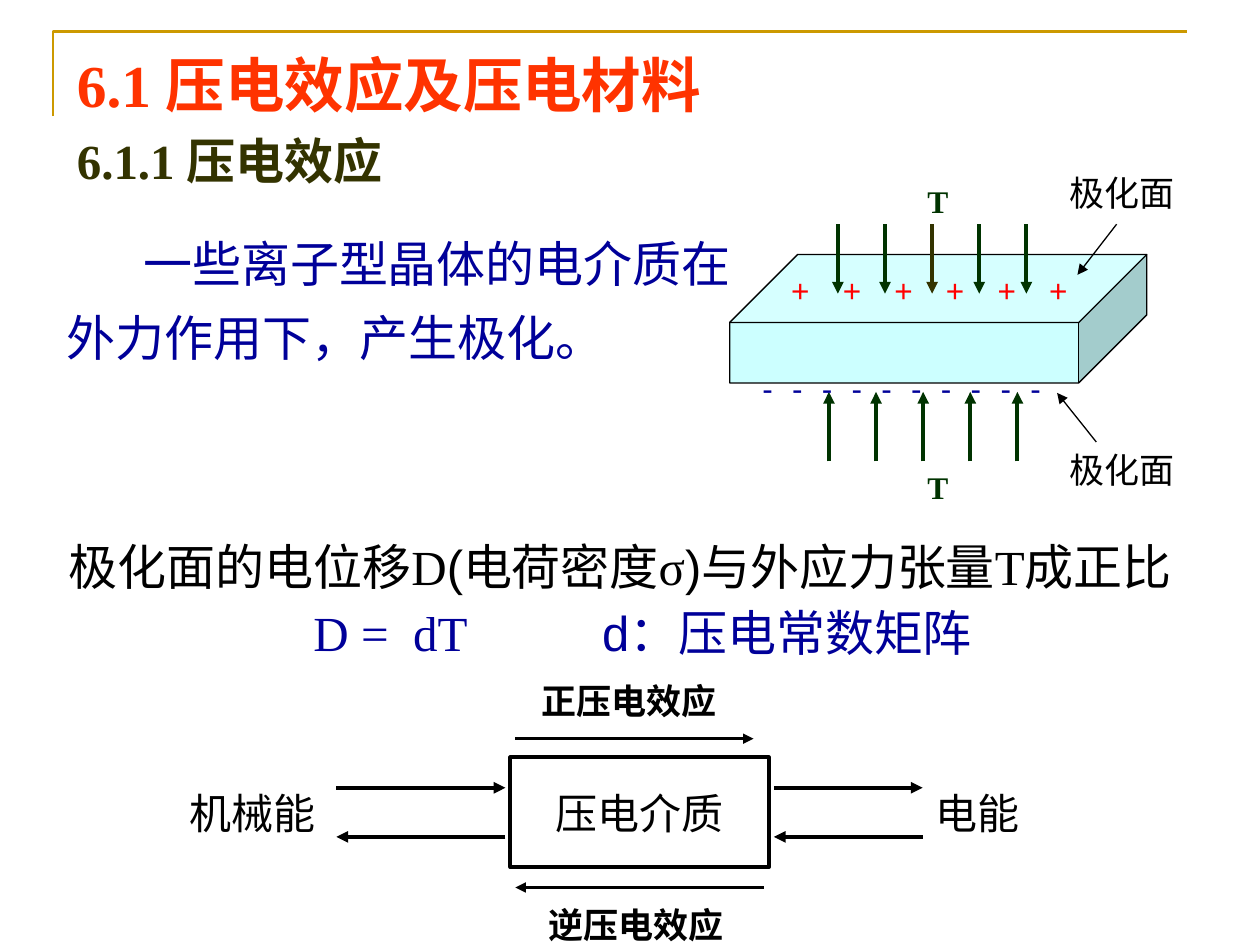
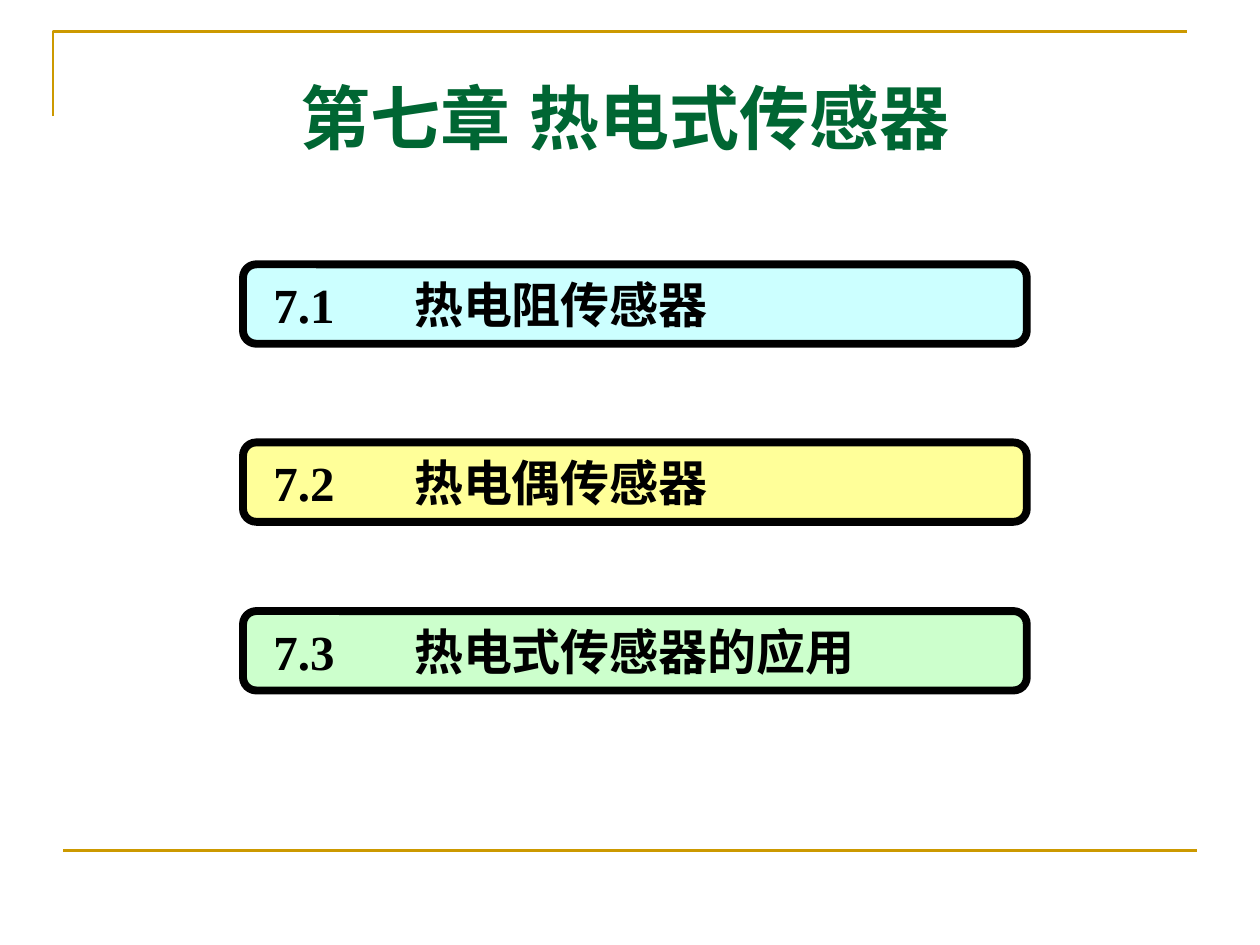
from pptx import Presentation
from pptx.dml.color import RGBColor
from pptx.enum.shapes import MSO_CONNECTOR as LINE, MSO_SHAPE as SHAPE
from pptx.enum.text import MSO_ANCHOR as ANCHOR, PP_ALIGN as ALIGN
from pptx.oxml.ns import qn
from pptx.util import Cm, Pt
from lxml.etree import SubElement

COLORS = {
    "frame": "CC9900", "section": "FF3300", "olive": "333300",
    "force": "003300", "plus": "FF0000", "navy": "000099",
    "black": "000000", "white": "FFFFFF", "chapter": "006633",
    "cyan": "CCFFFF", "yellow": "FFFF99", "green": "CCFFCC",
}
SANS, SERIF, CJK = "Arial", "Times New Roman", "Noto Sans CJK SC"


def rgb(name):
    return RGBColor.from_string(COLORS[name])


def write(tf, runs, size, color="black", bold=False, align=ALIGN.LEFT):
    """Fill the first paragraph with (text, font) runs."""
    tf.word_wrap = True
    tf.margin_left = tf.margin_right = Cm(0.25)
    tf.margin_top = tf.margin_bottom = Cm(0.13)
    p = tf.paragraphs[0]
    p.alignment = align
    for text, font in runs:
        r = p.add_run()
        r.text = text
        r.font.name = font
        r.font.size = Pt(size)
        r.font.bold = bold
        r.font.color.rgb = rgb(color)
        SubElement(r.font._element, qn("a:ea"), typeface=SANS)
    return p


def add_text(s, box, runs, size, color="black", bold=False, align=ALIGN.LEFT):
    tf = s.shapes.add_textbox(*map(Cm, box)).text_frame
    return write(tf, runs, size, color, bold, align)


def add_block(s, kind, box, fill, width):
    sp = s.shapes.add_shape(kind, *map(Cm, box))
    sp.shadow.inherit = False
    sp.fill.solid()
    sp.fill.fore_color.rgb = rgb(fill)
    sp.line.color.rgb = rgb("black")
    sp.line.width = Pt(width)
    return sp


def add_line(s, start, end, color, width, arrow=True):
    c = s.shapes.add_connector(LINE.STRAIGHT, *map(Cm, start + end))
    c.line.color.rgb = rgb(color)
    c.line.width = Pt(width)
    if arrow:
        SubElement(c.line._get_or_add_ln(), qn("a:tailEnd"), type="triangle")
    SubElement(c._element.spPr, qn("a:effectLst"))


def add_frame(s):
    """Draw the gold corner shared by the slides."""
    fb = s.shapes.build_freeform(Cm(1.07), Cm(2.34))
    fb.add_line_segments([(Cm(1.07), Cm(0.64)), (Cm(23.93), Cm(0.64))],
                         close=False)
    sp = fb.convert_to_shape()
    sp.shadow.inherit = False
    sp.fill.background()
    sp.line.color.rgb = rgb("frame")
    sp.line.width = Pt(1.5)


def draw_crystal(s, x, y, w, h):
    """Draw the loaded crystal; forces and charges surround its box."""
    add_block(s, SHAPE.CUBE, (x, y, w, h), "cyan", 0.75).adjustments[0] = 0.53

    # first arrow x, start y, end y, y of the T label
    for left, start, end, label in ((2.18, -0.61, 0.79, -1.6),
                                    (2, 4.17, 2.77, 4.17)):
        for i in range(5):
            ax = x + left + 0.95 * i
            color = "olive" if start < 0 and i == 2 else "force"
            add_line(s, (ax, y + start), (ax, y + end), color, 2.25)
        add_text(s, (x + 3.4, y + label, 1.6, 1.02), [("T", SERIF)], 18,
                 "force", True, ALIGN.CENTER)

    for sign, color, count, left, top, step in (
            ("+", "plus", 6, 0.99, 0.2, 1.04),
            ("-", "navy", 10, 0.41, 2.18, 0.6)):
        for i in range(count):
            add_text(s, (x + left + step * i, y + top, 0.99, 1.02),
                     [(sign, SANS)], 18, color)

    for label, x1, y1, x2, y2 in ((-1.8, 7.8, -0.61, 7.01, 0.41),
                                  (3.78, 7.39, 3.78, 6.6, 2.79)):
        add_line(s, (x + x1, y + y1), (x + x2, y + y2), "black", 0.75)
        add_text(s, (x + 6.6, y + label, 3, 1.12), [("极化面", SANS)], 20)


def draw_energy_flow(s, x, y, w, h):
    """Draw the medium in its box, with energy flowing both ways."""
    tf = add_block(s, SHAPE.RECTANGLE, (x, y, w, h), "white", 2.25).text_frame
    tf.vertical_anchor = ANCHOR.MIDDLE
    write(tf, [("压电介质", SANS)], 24, align=ALIGN.CENTER)

    for near, far in ((-3.51, -0.1), (w + 0.1, w + 3.1)):
        add_line(s, (x + near, y + 0.61), (x + far, y + 0.61), "black", 2.25)
        add_line(s, (x + far, y + 1.6), (x + near, y + 1.6), "black", 2.25)
    add_text(s, (x - 7.29, y + 0.48, 3.61, 1.27), [("机械能", SANS)], 24,
             align=ALIGN.RIGHT)
    add_text(s, (x + w + 3.1, y + 0.48, 2.59, 1.27), [("电能", SANS)], 24)

    for text, left, top, start, end, ay in (
            ("正压电效应", 0.3, -1.7, 0.1, 4.9, -0.38),
            ("逆压电效应", 0.43, h + 0.61, 5.11, 0.1, h + 0.41)):
        add_line(s, (x + start, y + ay), (x + end, y + ay), "black", 1.5)
        add_text(s, (x + left, y + top, 4.19, 1.12), [(text, SANS)], 20,
                 bold=True, align=ALIGN.CENTER)


def build_effect_slide(s):
    add_frame(s)
    add_text(s, (1.3, 0.84, 14, 1.7),
             [("6.1 ", SERIF), ("压电效应及压电材料", CJK)], 34, "section", True)
    add_text(s, (1.3, 2.51, 8.61, 1.45),
             [("6.1.1 ", SERIF), ("压电效应", SANS)], 28, "olive", True)
    draw_crystal(s, 14.71, 5.13, 8.41, 2.59)

    p = add_text(s, (1.09, 4.29, 14.02, 3.23),
                 [("一些离子型晶体的电介质在外力作用下，产生极化。", SANS)],
                 28, "navy")
    p.line_spacing = 1.25
    p._p.get_or_add_pPr().set("indent", str(Cm(1.55)))

    p = add_text(s, (1.14, 10.39, 23.01, 3.23),
                 [("极化面的电位移", SANS), ("D", SERIF), ("(电荷密度", SANS),
                  ("σ", SERIF), (")与外应力张量", SANS), ("T", SERIF),
                  ("成正比", SANS)], 28)
    p.line_spacing = 1.25
    add_text(s, (6.07, 12.01, 4.6, 1.45), [("D =  dT", SERIF)], 28, "navy")
    add_text(s, (11.89, 12.01, 8.2, 1.45), [("d：压电常数矩阵", SANS)], 28,
             "navy")
    draw_energy_flow(s, 10.29, 15.27, 5.21, 2.21)


def draw_section_bar(s, x, y, w, h, number, name, fill):
    add_block(s, SHAPE.ROUNDED_RECTANGLE, (x, y, w, h), fill, 4.5)
    add_text(s, (x + 0.13, y + 0.08, 2.2, 1.45), [(number, SERIF)], 28,
             bold=True, align=ALIGN.CENTER)
    add_text(s, (x + 3.2, y + 0.08, w - 3.2, 1.45), [(name, SANS)], 28,
             bold=True)


def build_chapter_slide(s):
    add_frame(s)
    add_line(s, (1.27, 17.15), (24.13, 17.15), "frame", 1.5, arrow=False)
    add_text(s, (4.7, 1.37, 15.8, 2.36), [("第七章 热电式传感器", CJK)], 40,
             "chapter", True, ALIGN.CENTER)
    for top, number, name, fill in (
            (5.33, "7.1", "热电阻传感器", "cyan"),
            (8.92, "7.2", "热电偶传感器", "yellow"),
            (12.32, "7.3", "热电式传感器的应用", "green")):
        draw_section_bar(s, 4.9, top, 15.8, 1.6, number, name, fill)


def main():
    prs = Presentation()
    prs.slide_width, prs.slide_height = Cm(25.4), Cm(19.05)
    for build in (build_effect_slide, build_chapter_slide):
        build(prs.slides.add_slide(prs.slide_layouts[6]))
    prs.save("out.pptx")


if __name__ == "__main__":
    main()
